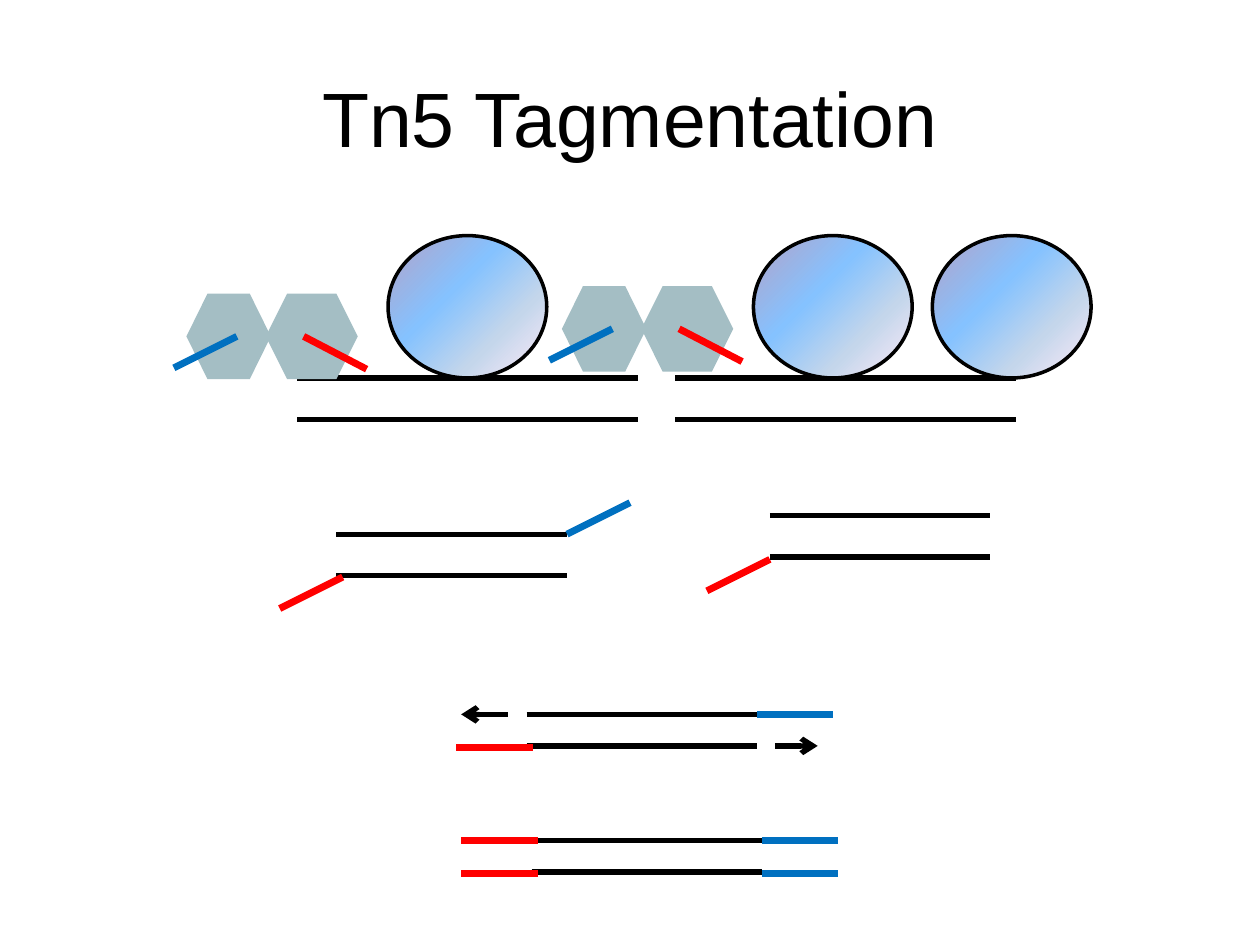
"""Build a slide showing how Tn5 cuts and tags open chromatin."""
from lxml import etree
from pptx import Presentation, util as u
from pptx.dml.color import RGBColor
from pptx.enum import shapes, text
from pptx.oxml.ns import qn

WIDTH, HEIGHT = 10, 7.5
COLORS = {"black": "000000", "blue": "0070C0", "red": "FF0000", "enzyme": "A4BEC4"}
NUCLEOSOME_STOPS = {0: "B3A2C7", 40: "85C2FF", 70: "C4D6EB", 100: "FFEBFA"}
STRAND_GAP = 0.33
PAIR_GAP = 0.25


def rgb(name):
    """Return the named colour."""
    return RGBColor.from_string(COLORS[name])


def add_title(slide, words):
    """Place and format the title placeholder."""
    title = slide.shapes.title
    title.left, title.top = u.Inches(0.05 * WIDTH), u.Inches(0.04 * HEIGHT)
    title.width, title.height = u.Inches(0.9 * WIDTH), u.Inches(HEIGHT / 6)
    frame = title.text_frame
    frame.text = words
    frame.vertical_anchor = text.MSO_ANCHOR.MIDDLE
    paragraph = frame.paragraphs[0]
    paragraph.alignment = text.PP_ALIGN.CENTER
    font = paragraph.runs[0].font
    font.name, font.size = "Arial", u.Pt(44)
    font.color.rgb = rgb("black")


def add_line(slide, start, end, color="black", arrow=False):
    """Draw a straight line, thicker for coloured adapters."""
    points = [u.Inches(value) for value in (*start, *end)]
    line = slide.shapes.add_connector(shapes.MSO_CONNECTOR.STRAIGHT, *points)
    line.line.color.rgb = rgb(color)
    line.line.width = u.Pt(3 if color == "black" else 4)
    if arrow:
        etree.SubElement(line.line._get_or_add_ln(), qn("a:tailEnd"), type="arrow")
    etree.SubElement(line._element.spPr, qn("a:effectLst"))


def add_strands(slide, left, right, top, gap=STRAND_GAP):
    """Draw the two parallel strands of a DNA piece."""
    for y in (top, top + gap):
        add_line(slide, (left, y), (right, y))


def add_shape(slide, kind, left, top, width, height):
    """Add a preset shape without a shadow."""
    shape = slide.shapes.add_shape(kind, *map(u.Inches, (left, top, width, height)))
    shape.shadow.inherit = False
    return shape


def add_transposome(slide, left, top):
    """Draw two joined enzyme hexagons with their adapters."""
    for offset, width in ((0, 0.67), (0.63, 0.73)):
        hexagon = add_shape(slide, shapes.MSO_SHAPE.HEXAGON, left + offset, top, width, 0.68)
        hexagon.fill.solid()
        hexagon.fill.fore_color.rgb = rgb("enzyme")
        hexagon.line.fill.background()
    y = top + 0.34
    add_line(slide, (left - 0.1, y + 0.25), (left + 0.4, y), "blue")
    add_line(slide, (left + 0.93, y), (left + 1.43, y + 0.26), "red")


def add_nucleosome(slide, left):
    """Draw a nucleosome with a diagonal gradient."""
    ellipse = add_shape(slide, shapes.MSO_SHAPE.OVAL, left, 1.87, 1.26, 1.13)
    ellipse.fill.gradient()
    ellipse.fill.gradient_angle = 315
    stops = ellipse._element.spPr.find(qn("a:gradFill")).find(qn("a:gsLst"))
    for stop in list(stops):
        stops.remove(stop)
    for position, color in NUCLEOSOME_STOPS.items():
        stop = etree.SubElement(stops, qn("a:gs"), pos=str(position * 1000))
        etree.SubElement(stop, qn("a:srgbClr"), val=color)
    ellipse.line.color.rgb = rgb("black")
    ellipse.line.width = u.Pt(2)


def add_chromatin(slide):
    """Draw the DNA with nucleosomes and bound transposomes."""
    for left in (2.36, 5.36):
        add_strands(slide, left, left + 2.7, 3)
    add_transposome(slide, 4.46, 2.27)
    for left in (3.08, 5.98, 7.4):
        add_nucleosome(slide, left)
    add_transposome(slide, 1.48, 2.33)


def add_fragments(slide):
    """Draw the cut fragments with their slanted adapters."""
    add_strands(slide, 2.67, 4.5, 4.24)
    add_strands(slide, 6.11, 7.86, 4.09)
    for x, y, color in ((4.5, 4.24, "blue"), (5.61, 4.69, "red"), (2.22, 4.83, "red")):
        add_line(slide, (x, y), (x + 0.5, y - 0.25), color)


def add_tagged_pair(slide, left, top, red_rows, blue_rows):
    """Draw a strand pair with adapters on the chosen rows."""
    right = left + 1.83
    add_strands(slide, left, right, top, PAIR_GAP)
    tags = (("red", left - 0.56, left + 0.05, red_rows), ("blue", right, right + 0.6, blue_rows))
    for color, start, end, rows in tags:
        for row in rows:
            y = top + row * (PAIR_GAP + 0.01)
            add_line(slide, (start, y), (end, y), color)


def main():
    """Build and save the slide."""
    presentation = Presentation()
    presentation.slide_width = u.Inches(WIDTH)
    presentation.slide_height = u.Inches(HEIGHT)
    slide = presentation.slides.add_slide(presentation.slide_layouts[5])
    add_title(slide, "Tn5 Tagmentation")
    add_chromatin(slide)
    add_fragments(slide)
    add_tagged_pair(slide, 4.18, 5.67, red_rows=[1], blue_rows=[0])
    add_line(slide, (4.03, 5.67), (3.66, 5.67), arrow=True)
    add_line(slide, (6.15, 5.92), (6.49, 5.92), arrow=True)
    add_tagged_pair(slide, 4.22, 6.67, red_rows=[0, 1], blue_rows=[0, 1])
    presentation.save("out.pptx")


if __name__ == "__main__":
    main()
